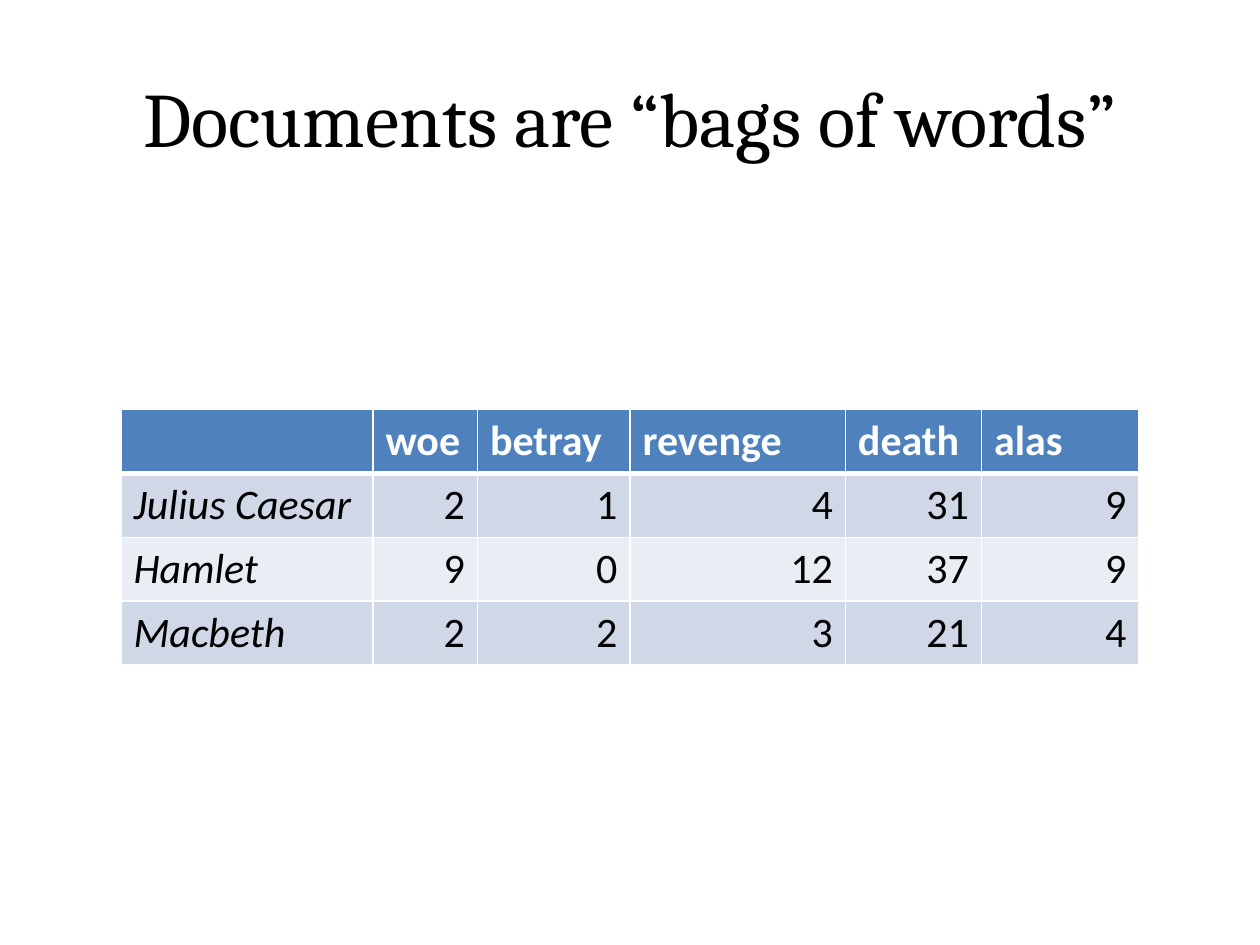
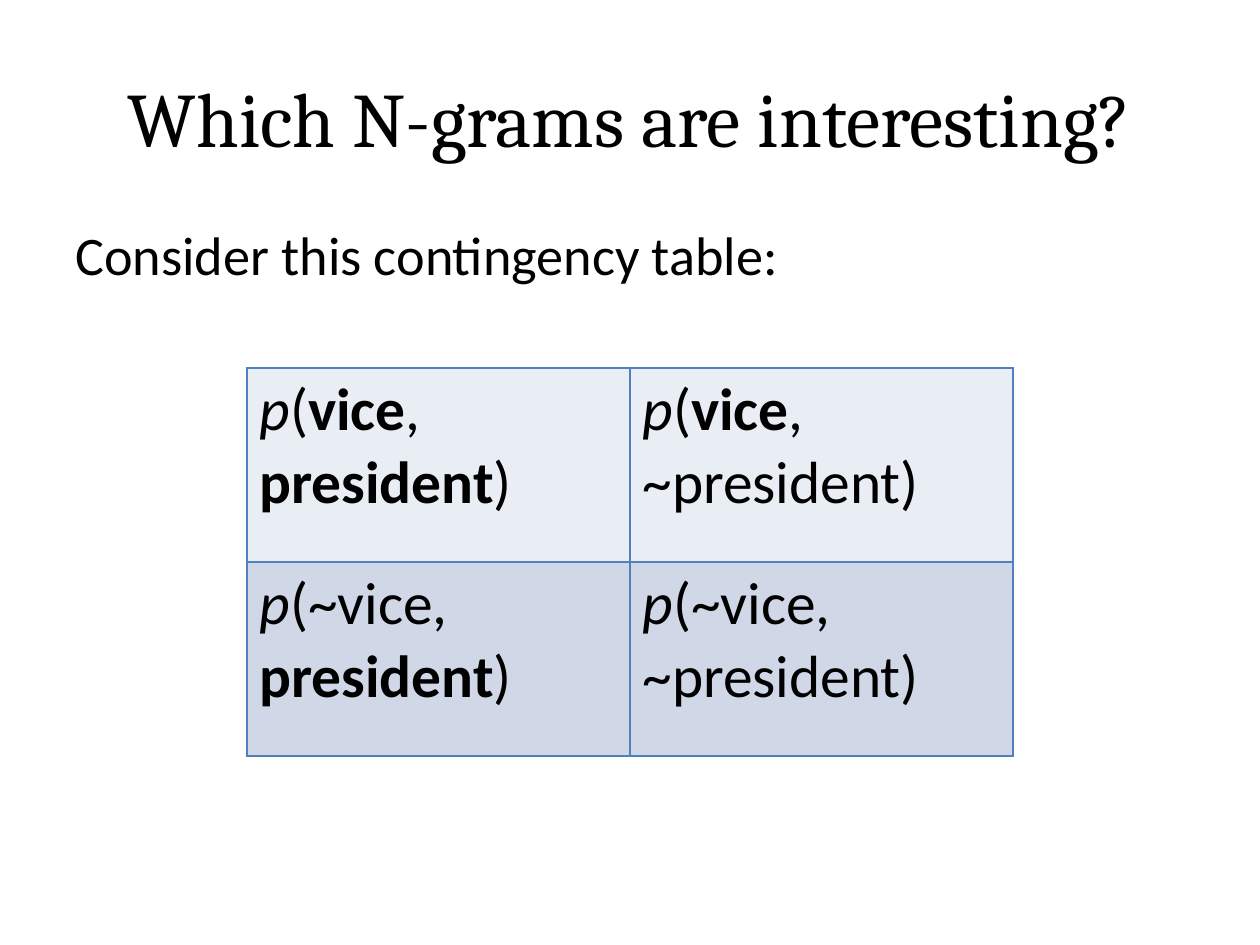
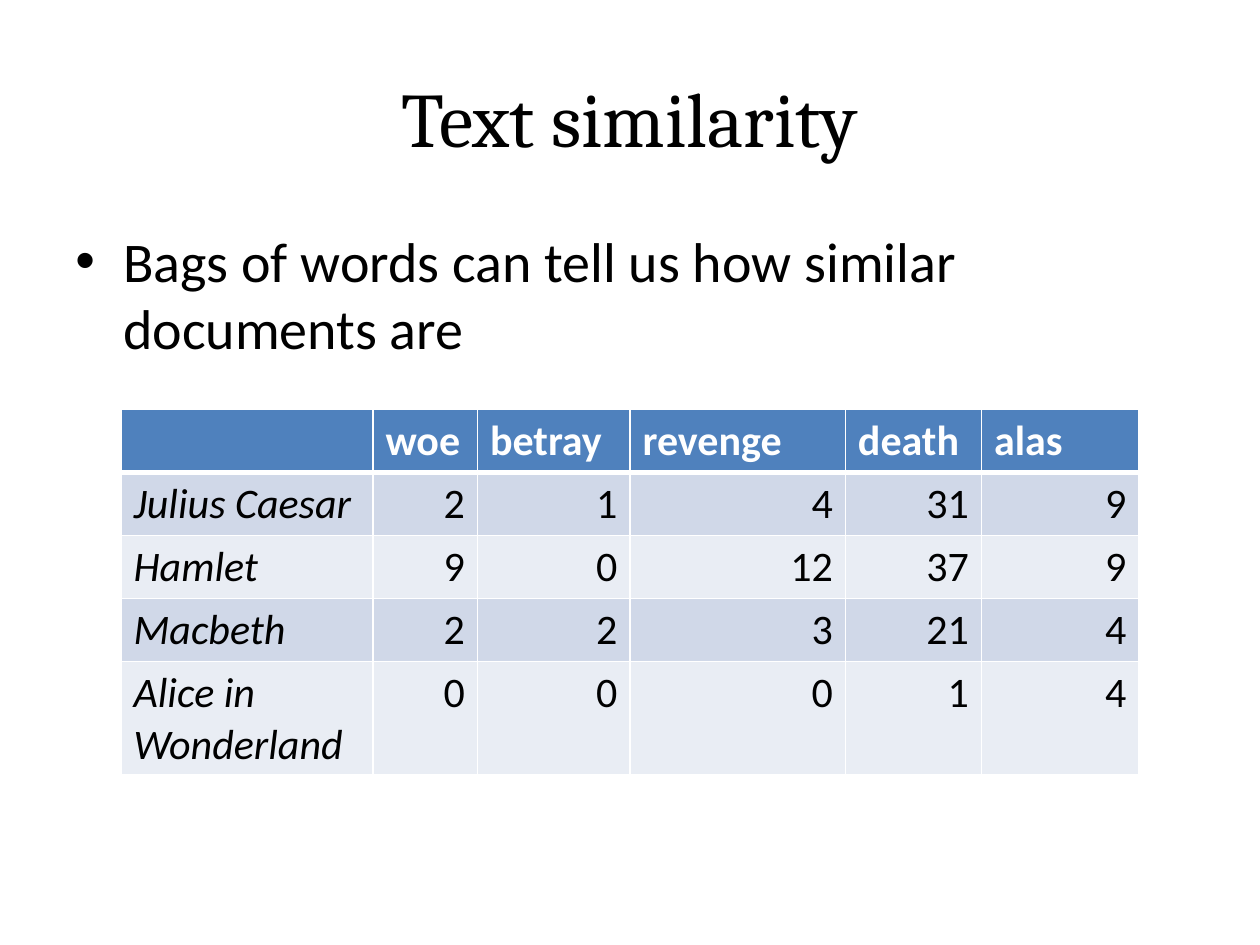
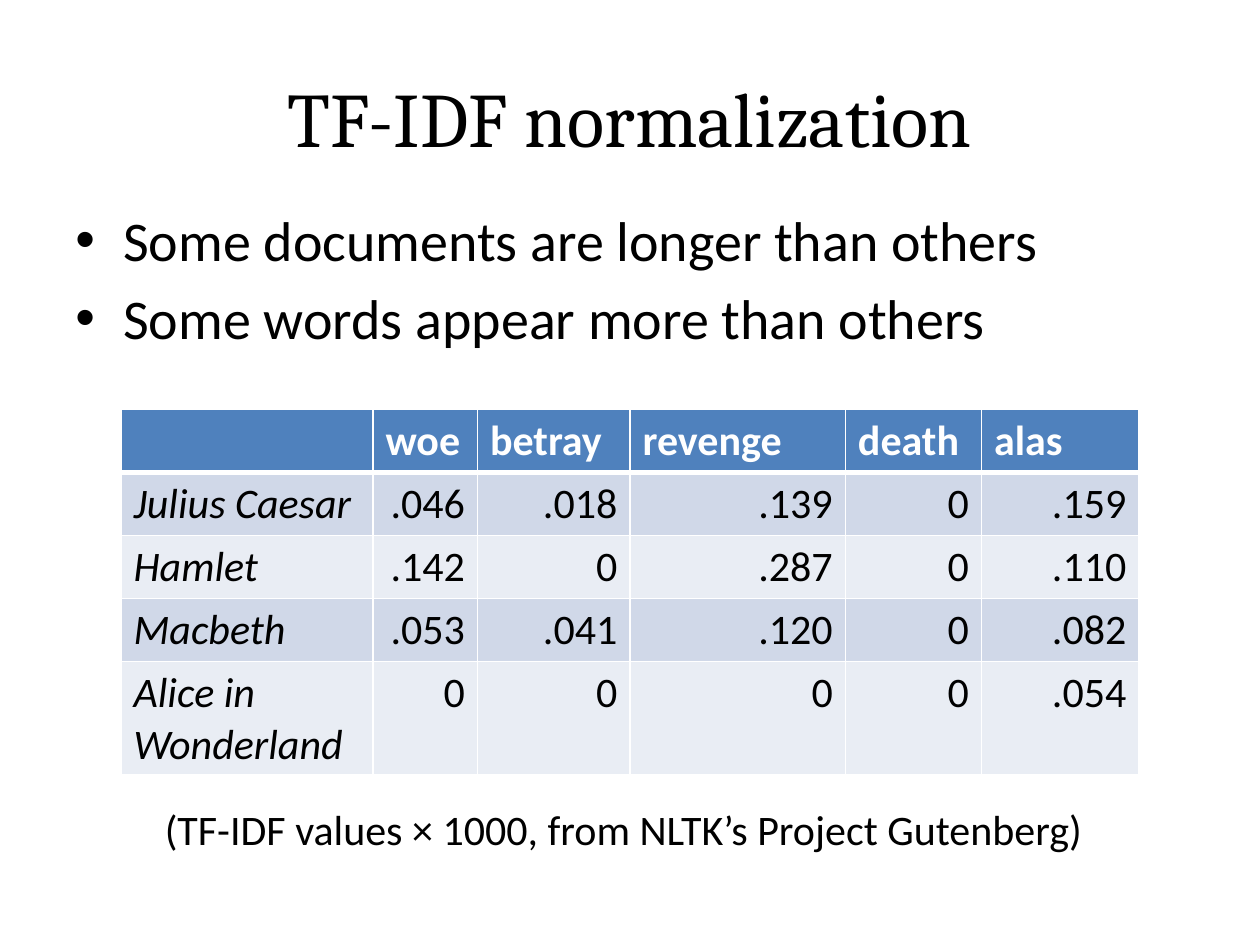
from collections import namedtuple

from lxml import etree
from pptx import Presentation
from pptx.dml.color import RGBColor
from pptx.enum.text import MSO_ANCHOR, MSO_AUTO_SIZE, PP_ALIGN
from pptx.oxml.ns import qn
from pptx.util import Inches, Pt

# Boxes are counted in columns and rows of a 20 by 15 grid.
SLIDE_WIDTH, SLIDE_HEIGHT = Inches(10), Inches(7.5)
COLUMN, ROW = SLIDE_WIDTH / 20, SLIDE_HEIGHT / 15
Box = namedtuple("Box", "left top width height")

HEADING_FONT, BODY_FONT = "Cambria", "Calibri"
BLACK, WHITE, BLUE = "000000", "FFFFFF", "4F81BD"
DARK_BAND, LIGHT_BAND = "D0D8E8", "E9EDF4"

TITLE_BOX = Box(1, 0.6, 18, 2.5)
PLAYS_BOX = Box(1.92, 6.5, 16.16, 4)
BOOKS_BOX = PLAYS_BOX._replace(height=5.8)
WORD_COLUMNS = [4, 1.66, 2.42, 3.42, 2.16, 2.5]

WORDS = ["", "woe", "betray", "revenge", "death", "alas"]
PLAY_COUNTS = [
    ["Julius Caesar", "2", "1", "4", "31", "9"],
    ["Hamlet", "9", "0", "12", "37", "9"],
    ["Macbeth", "2", "2", "3", "21", "4"],
]
BOOK_COUNTS = PLAY_COUNTS + [["Alice in Wonderland", "0", "0", "0", "1", "4"]]
TF_IDF_VALUES = [
    ["Julius Caesar", ".046", ".018", ".139", "0", ".159"],
    ["Hamlet", ".142", "0", ".287", "0", ".110"],
    ["Macbeth", ".053", ".041", ".120", "0", ".082"],
    ["Alice in Wonderland", "0", "0", "0", "0", ".054"],
]
# Each run is its text and its style: i for italic, b for bold.
VICE, PRESIDENT = ("vice", "b"), ("president", "b")
CONTINGENCY = [
    [
        [("p", "i"), ("(", ""), VICE, (", ", ""), PRESIDENT, (")", "")],
        [("p", "i"), ("(", ""), VICE, (", ~president)", "")],
    ],
    [
        [("p", "i"), ("(~vice, ", ""), PRESIDENT, (")", "")],
        [("p", "i"), ("(~vice, ~president)", "")],
    ],
]


def color(hex_string):
    return RGBColor.from_string(hex_string)


def place(box):
    """Turn grid units into left, top, width and height in EMU."""
    return (round(box.left * COLUMN), round(box.top * ROW),
            round(box.width * COLUMN), round(box.height * ROW))


def style(paragraph, size, hex_string=BLACK, name=BODY_FONT):
    font = paragraph.font
    font.size, font.name = Pt(size), name
    font.color.rgb = color(hex_string)
    return font


def add_titled_slide(deck, heading):
    slide = deck.slides.add_slide(deck.slide_layouts[5])
    title = slide.shapes.title
    title.left, title.top, title.width, title.height = place(TITLE_BOX)
    title.text_frame.text = heading
    title.text_frame.vertical_anchor = MSO_ANCHOR.MIDDLE
    paragraph = title.text_frame.paragraphs[0]
    paragraph.alignment = PP_ALIGN.CENTER
    style(paragraph, 44, name=HEADING_FONT)
    return slide


def add_line(slide, box, text, size, wrap=True):
    frame = slide.shapes.add_textbox(*place(box)).text_frame
    frame.word_wrap = wrap
    frame.auto_size = MSO_AUTO_SIZE.SHAPE_TO_FIT_TEXT
    frame.text = text
    style(frame.paragraphs[0], size)


def add_bullets(slide, box, points):
    frame = slide.shapes.add_textbox(*place(box)).text_frame
    frame.word_wrap = True
    frame.text = "\n".join(points)
    for index, paragraph in enumerate(frame.paragraphs):
        properties = paragraph._p.get_or_add_pPr()
        properties.set("marL", str(Inches(0.38)))
        properties.set("indent", str(-Inches(0.38)))
        etree.SubElement(properties, qn("a:buFont"), typeface="Arial")
        etree.SubElement(properties, qn("a:buChar"), char="•")
        if index:
            paragraph.space_before = Pt(6.4)
        style(paragraph, 32)


def paint_cell(cell, fill, border, bottom_width=1):
    properties = cell._tc.get_or_add_tcPr()
    for side in "LRTB":
        width = bottom_width if side == "B" else 1
        line = etree.SubElement(properties, qn(f"a:ln{side}"), w=str(Pt(width)))
        solid = etree.SubElement(line, qn("a:solidFill"))
        etree.SubElement(solid, qn("a:srgbClr"), val=border)
    cell.fill.solid()
    cell.fill.fore_color.rgb = color(fill)


def add_grid(slide, box, row_count, columns):
    table = slide.shapes.add_table(row_count, len(columns), *place(box)).table
    for column, width in zip(table.columns, columns):
        column.width = round(width * COLUMN)
    return table


def add_word_table(slide, box, records):
    """Header and rows are one grid row high; the last row takes what is left."""
    lines = [WORDS] + records
    table = add_grid(slide, box, len(lines), WORD_COLUMNS)
    for row in table.rows:
        row.height = round(ROW)
    table.rows[len(records)].height = round((box.height - len(records)) * ROW)
    for r, line in enumerate(lines):
        for c, value in enumerate(line):
            cell = table.cell(r, c)
            cell.text = value
            paragraph = cell.text_frame.paragraphs[0]
            if r == 0:
                paint_cell(cell, BLUE, WHITE, bottom_width=3)
                style(paragraph, 24, WHITE).bold = True
                continue
            paint_cell(cell, DARK_BAND if r % 2 else LIGHT_BAND, WHITE)
            if c:
                paragraph.alignment = PP_ALIGN.RIGHT
            style(paragraph, 24).italic = c == 0


def add_contingency_table(slide, box):
    table = add_grid(slide, box, 2, [box.width / 2] * 2)
    table.first_row = False
    for r, (line, band) in enumerate(zip(CONTINGENCY, (LIGHT_BAND, DARK_BAND))):
        for c, runs in enumerate(line):
            cell = table.cell(r, c)
            paint_cell(cell, band, BLUE)
            paragraph = cell.text_frame.paragraphs[0]
            style(paragraph, 34)
            for text, emphasis in runs:
                run = paragraph.add_run()
                run.text = text
                run.font.bold = emphasis == "b"
                run.font.italic = emphasis == "i"


def main():
    deck = Presentation()
    deck.slide_width, deck.slide_height = SLIDE_WIDTH, SLIDE_HEIGHT

    bags = add_titled_slide(deck, "Documents are “bags of words”")
    add_word_table(bags, PLAYS_BOX, PLAY_COUNTS)

    ngrams = add_titled_slide(deck, "Which N-grams are interesting?")
    add_contingency_table(ngrams, Box(3.92, 5.84, 12.16, 6.16))
    add_line(ngrams, Box(1, 3.42, 11.68, 1.24),
             "Consider this contingency table:", 31, wrap=False)

    similarity = add_titled_slide(deck, "Text similarity")
    add_bullets(similarity, Box(1, 3.5, 18, 9.9),
                ["Bags of words can tell us how similar documents are"])
    add_word_table(similarity, BOOKS_BOX, BOOK_COUNTS)

    normalization = add_titled_slide(deck, "TF-IDF normalization")
    add_bullets(normalization, Box(1, 3.16, 18, 9.9),
                ["Some documents are longer than others",
                 "Some words appear more than others"])
    add_word_table(normalization, BOOKS_BOX, TF_IDF_VALUES)
    add_line(normalization, Box(2.42, 12.66, 15.08, 1),
             "(TF-IDF values × 1000, from NLTK’s Project Gutenberg)", 24)

    deck.save("out.pptx")


if __name__ == "__main__":
    main()
